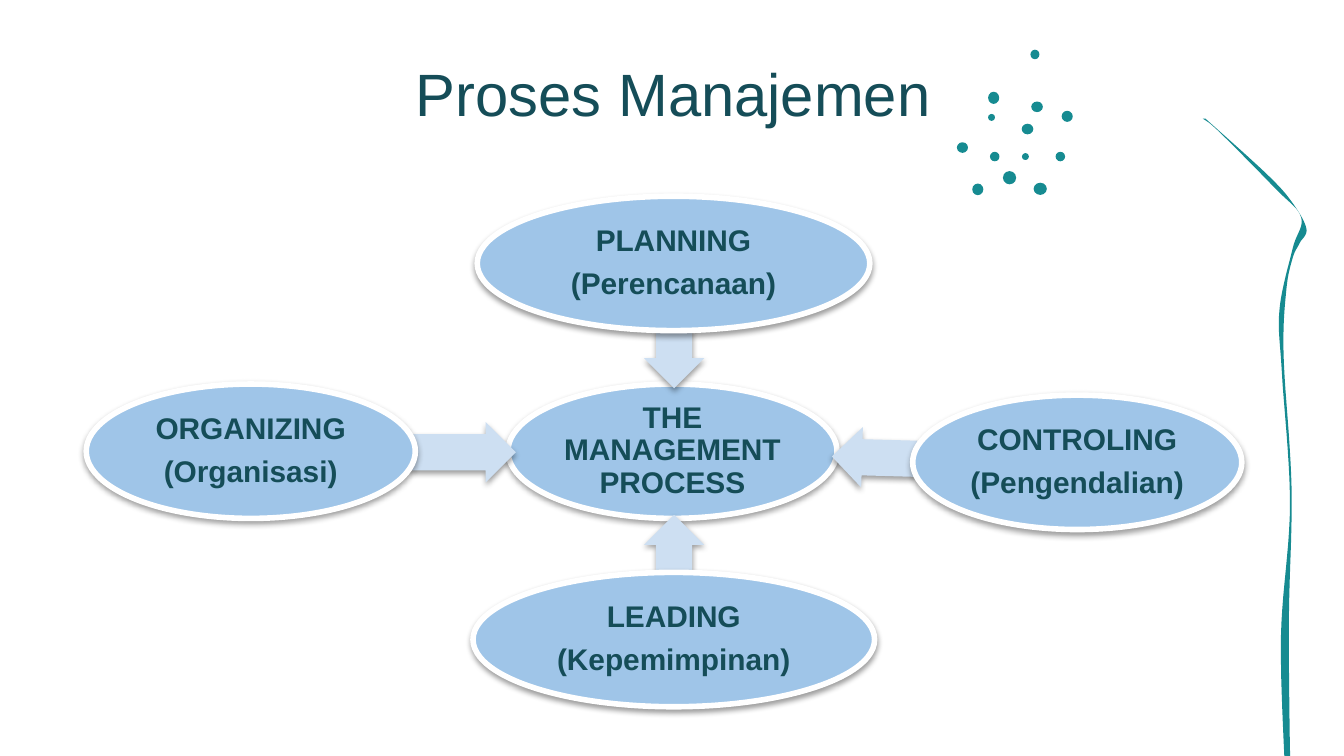
from dataclasses import dataclass

from lxml import etree
from pptx import Presentation
from pptx import util as u
from pptx.dml.color import RGBColor
from pptx.enum import shapes, text
from pptx.oxml.ns import qn


@dataclass(frozen=True)
class Theme:
    teal: RGBColor = RGBColor(0x16, 0x8B, 0x91)
    ink: RGBColor = RGBColor(0x15, 0x4D, 0x58)
    node: RGBColor = RGBColor(0x9F, 0xC5, 0xE8)
    arrow: RGBColor = RGBColor(0xCD, 0xDF, 0xF2)
    rim: RGBColor = RGBColor(0xFF, 0xFF, 0xFF)
    font: str = "Arial"
    title_size: u.Pt = u.Pt(32)
    node_size: u.Pt = u.Pt(16)


theme = Theme()


def paint(sp, fill, rim=None, shadow=False):
    """Give a shape its fill, an optional rim and an optional soft shadow."""
    sp.fill.solid()
    sp.fill.fore_color.rgb = fill
    if rim is None:
        sp.line.fill.background()
    else:
        sp.line.color.rgb = rim
        sp.line.width = u.Pt(3)
    sp.shadow.inherit = False
    if shadow:
        effects = sp._element.spPr.find(qn("a:effectLst"))
        outer = etree.SubElement(effects, qn("a:outerShdw"), blurRad="40000",
                                 dist="20000", dir="5400000", rotWithShape="0")
        black = etree.SubElement(outer, qn("a:srgbClr"), val="000000")
        etree.SubElement(black, qn("a:alpha"), val="38000")


def smooth(points, steps=10):
    """Return points along a Catmull-Rom curve through the given ones."""
    padded = [points[0], *points, points[-1]]
    curve = [points[0]]
    for a, b, c, d in zip(padded, padded[1:], padded[2:], padded[3:]):
        for i in range(1, steps + 1):
            t = i / steps
            curve.append(tuple(
                q + t * ((r - p) + t * ((2 * p - 5 * q + 4 * r - s)
                                        + t * (3 * q - p - 3 * r + s))) / 2
                for p, q, r, s in zip(a, b, c, d)))
    return curve


prs = Presentation()
prs.slide_width, prs.slide_height = u.Cm(25.4), u.Cm(14.29)
s = prs.slides.add_slide(prs.slide_layouts[6])

# Tapered ribbon: right edge downwards, left edge upwards
right_edge = [(22.78, 2.24), (23.93, 3.28), (24.41, 3.81), (24.69, 4.32),
              (24.56, 4.6), (24.43, 4.88), (24.31, 5.49), (24.26, 6.73),
              (24.41, 9.22), (24.36, 11.68), (24.38, 14.17), (24.41, 14.48)]
left_edge = [(24.28, 14.48), (24.21, 12.01), (24.38, 9.55), (24.23, 7.09),
             (24.18, 5.87), (24.43, 4.7), (24.59, 4.11), (24.1, 3.56),
             (23.04, 2.49), (22.73, 2.24)]
outline = [(u.Cm(x), u.Cm(y)) for x, y in smooth(right_edge) + smooth(left_edge)]
ribbon = s.shapes.build_freeform(*outline[0])
ribbon.add_line_segments(outline[1:], close=True)
paint(ribbon.convert_to_shape(), theme.teal)

# Scattered dots: centre x, centre y, width, height
dots = [(19.66, 3.57, 0.25, 0.23), (19.38, 2.96, 0.13, 0.13),
        (20.04, 2.96, 0.18, 0.18), (19.6, 2.02, 0.22, 0.2),
        (18.78, 1.85, 0.21, 0.23), (19.42, 2.44, 0.22, 0.2),
        (18.74, 2.22, 0.13, 0.13), (18.8, 2.96, 0.18, 0.18),
        (18.48, 3.58, 0.21, 0.22), (18.19, 2.79, 0.21, 0.2),
        (19.08, 3.36, 0.25, 0.25), (20.17, 2.2, 0.21, 0.21),
        (19.56, 1.03, 0.17, 0.18)]
for cx, cy, w, h in dots:
    dot = s.shapes.add_shape(shapes.MSO_SHAPE.OVAL, u.Cm(cx - w / 2),
                             u.Cm(cy - h / 2), u.Cm(w), u.Cm(h))
    paint(dot, theme.teal)

# Title
tf = s.shapes.add_textbox(u.Cm(2.01), u.Cm(0.69), u.Cm(21.44), u.Cm(1.6)).text_frame
tf.word_wrap = True
tf.margin_top = u.Cm(0.38)
p = tf.paragraphs[0]
p.alignment = text.PP_ALIGN.CENTER
r = p.add_run()
r.text = "Proses Manajemen"
for name, value in {"name": theme.font, "size": theme.title_size}.items():
    setattr(r.font, name, value)
r.font.color.rgb = theme.ink

# Hub and its four functions: lines, (left, top, width), then the arrow to the
# hub drawn beneath the ellipse as (left, top, width, rotation)
nodes = [
    (["THE MANAGEMENT PROCESS"], (9.6, 7.26, 6.22), None),
    (["PLANNING", "(Perencanaan)"], (9.02, 3.71, 7.42), (12.17, 6.2, 1.14, 90)),
    (["CONTROLING", "(Pengendalian)"], (17.25, 7.47, 6.22), (15.72, 8.08, 1.6, 181.6)),
    (["LEADING", "(Kepemimpinan)"], (8.94, 10.82, 7.59), (12.17, 9.73, 1.14, 270)),
    (["ORGANIZING", "(Organisasi)"], (1.63, 7.26, 6.22), (7.77, 7.98, 1.98, 0)),
]
node_height, arrow_height, inset = u.Cm(2.54), u.Cm(1.14), u.Cm(0.05)
frame_format = {"word_wrap": True, "vertical_anchor": text.MSO_ANCHOR.MIDDLE,
                "margin_left": inset, "margin_right": inset,
                "margin_top": inset, "margin_bottom": inset}
para_format = {"alignment": text.PP_ALIGN.CENTER, "line_spacing": 0.9,
               "space_after": u.Pt(6)}
font_format = {"name": theme.font, "size": theme.node_size, "bold": True}

for lines, place, arrow_place in nodes:
    if arrow_place:
        *box, rotation = arrow_place
        arrow = s.shapes.add_shape(shapes.MSO_SHAPE.RIGHT_ARROW,
                                   *map(u.Cm, box), arrow_height)
        arrow.rotation = rotation
        arrow.adjustments[0], arrow.adjustments[1] = 0.6, 0.5
        paint(arrow, theme.arrow, shadow=True)

    sp = s.shapes.add_shape(shapes.MSO_SHAPE.OVAL, *map(u.Cm, place), node_height)
    paint(sp, theme.node, theme.rim, shadow=True)
    tf = sp.text_frame
    for name, value in frame_format.items():
        setattr(tf, name, value)
    for i, line in enumerate(lines):
        p = tf.add_paragraph() if i else tf.paragraphs[0]
        for name, value in para_format.items():
            setattr(p, name, value)
        r = p.add_run()
        r.text = line
        for name, value in font_format.items():
            setattr(r.font, name, value)
        r.font.color.rgb = theme.ink

prs.save("out.pptx")
